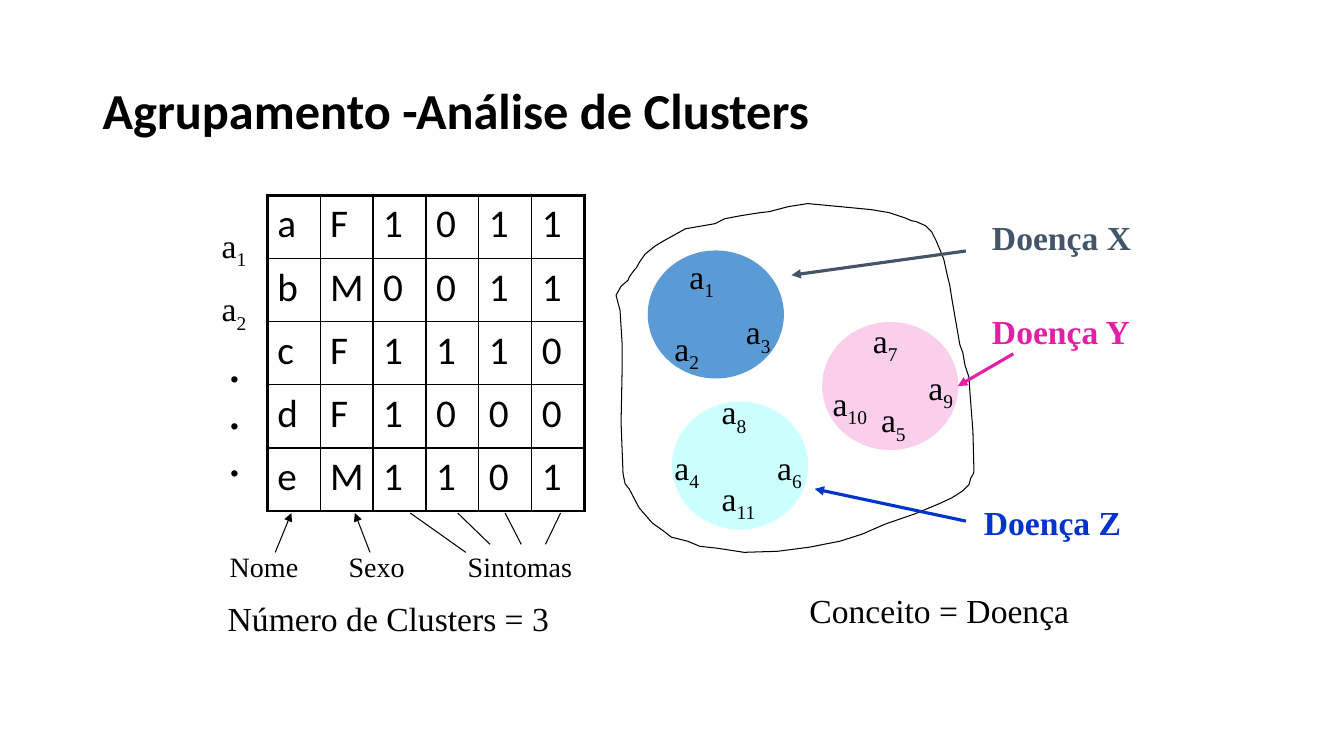
import pptx
import pptx.util
import pptx.dml.color
import pptx.enum.shapes
import pptx.enum.text
import pptx.oxml.ns
import lxml.etree

Inches = pptx.util.Inches
Pt = pptx.util.Pt
SERIF = "Times New Roman"
SANS = "Calibri"
COLORS = {
    "black": "000000", "slate": "44546A", "magenta": "E31FA6", "royal": "0033CC",
    "blue": "5B9BD5", "pink": "F9CFEC", "cyan": "CCFFFF",
}
ROWS = ["aF1011", "bM0011", "cF1110", "dF1000", "eM1101"]
BORDER = [
    (7.54, 2.11), (7.35, 2.14), (7.19, 2.17), (7.09, 2.22), (6.8, 2.27), (6.6, 2.38),
    (6.5, 2.44), (6.4, 2.52), (6.35, 2.59), (6.31, 2.66), (6.29, 2.68), (6.24, 2.75),
    (6.23, 2.78), (6.16, 2.84), (6.11, 2.93), (6.15, 3.08), (6.17, 3.4), (6.17, 3.7),
    (6.16, 4.19), (6.17, 4.45), (6.18, 4.7), (6.2, 4.8), (6.24, 4.85), (6.34, 5.04),
    (6.47, 5.19), (6.57, 5.26), (6.66, 5.33), (6.82, 5.37), (6.94, 5.42), (7.12, 5.44),
    (7.38, 5.48), (7.71, 5.47), (8.02, 5.43), (8.33, 5.37), (8.55, 5.3), (8.78, 5.2),
    (9.07, 5.1), (9.31, 5), (9.44, 4.94), (9.55, 4.87), (9.61, 4.81), (9.63, 4.74),
    (9.65, 4.71), (9.66, 4.68), (9.65, 4.28), (9.62, 3.89), (9.61, 3.74), (9.57, 3.62),
    (9.55, 3.5), (9.52, 3.42), (9.44, 2.96), (9.42, 2.83), (9.4, 2.75), (9.36, 2.57),
    (9.29, 2.4), (9.24, 2.3), (9.18, 2.24), (9.09, 2.2), (9.04, 2.19), (8.97, 2.16),
    (8.82, 2.11), (8.64, 2.08), (8.33, 2.05), (8.01, 2.02), (7.82, 2.05), (7.63, 2.1),
]
DISKS = [(6.43, 2.49, "blue"), (8.16, 3.2, "pink"), (6.67, 3.99, "cyan")]
ITEMS = [
    ("a_1", 2.1, 2.18), ("a_2", 2.1, 2.81),
    ("a_1", 6.74, 2.49), ("a_2", 6.59, 3.2), ("a_3", 7.3, 3.04),
    ("a_7", 8.56, 3.12), ("a_9", 9.11, 3.59), ("a_10", 8.16, 3.75), ("a_5", 8.64, 3.91),
    ("a_8", 7.06, 3.83), ("a_4", 6.59, 4.38), ("a_6", 7.61, 4.38), ("a_11", 7.06, 4.69),
]
ILLS = [
    ("Doença X", 9.74, 2.1, 1.58, "slate", (9.58, 2.49, 7.85, 2.73)),
    ("Doença Y", 9.74, 3.04, 1.58, "magenta", (10.05, 3.51, 9.5, 3.83)),
    ("Doença Z", 9.66, 4.93, 1.56, "royal", (9.58, 5.17, 8.08, 4.85)),
]
HEADS = [("Nome", 2.18, 0.88), ("Sexo", 3.36, 0.76), ("Sintomas", 4.54, 1.25)]
LINKS = [
    (2.73, 5.48, 2.89, 5.09, True), (3.67, 5.48, 3.52, 5.09, True),
    (4.07, 5.09, 4.62, 5.48, False), (4.54, 5.09, 4.86, 5.4, False),
    (5.17, 5.4, 5.01, 5.09, False), (5.41, 5.4, 5.56, 5.09, False),
]


def rgb(name):
    return pptx.dml.color.RGBColor.from_string(COLORS[name])


def style(run, size, font=SERIF, color="black", bold=False):
    run.font.size = Pt(size)
    run.font.name = font
    run.font.bold = bold
    run.font.color.rgb = rgb(color)


def label(slide, text, x, y, w, h=0.5, size=24, wrap=False, middle=False,
          space=None, **form):
    """Add a text box; an underscore starts a subscript."""
    frame = slide.shapes.add_textbox(Inches(x), Inches(y), Inches(w), Inches(h)).text_frame
    frame.word_wrap = wrap
    if not wrap:
        frame.auto_size = pptx.enum.text.MSO_AUTO_SIZE.SHAPE_TO_FIT_TEXT
    if middle:
        frame.vertical_anchor = pptx.enum.text.MSO_ANCHOR.MIDDLE
    for i, line in enumerate(text.split("\n")):
        para = frame.add_paragraph() if i else frame.paragraphs[0]
        para.line_spacing = space
        for j, part in enumerate(line.split("_")):
            run = para.add_run()
            run.text = part
            style(run, size, **form)
            if j:
                run.font._element.set("baseline", "-25000")


def link(slide, x1, y1, x2, y2, head=True, color="black", width=0.75):
    line = slide.shapes.add_connector(
        pptx.enum.shapes.MSO_CONNECTOR.STRAIGHT,
        Inches(x1), Inches(y1), Inches(x2), Inches(y2))
    line.line.color.rgb = rgb(color)
    line.line.width = Pt(width)
    if head:
        tail = lxml.etree.SubElement(line.line._get_or_add_ln(), pptx.oxml.ns.qn("a:tailEnd"))
        tail.set("type", "triangle")
    lxml.etree.SubElement(line._element.spPr, pptx.oxml.ns.qn("a:effectLst"))


def disk(slide, x, y, color):
    oval = slide.shapes.add_shape(
        pptx.enum.shapes.MSO_SHAPE.OVAL, Inches(x), Inches(y), Inches(1.34), Inches(1.26))
    oval.shadow.inherit = False
    oval.fill.solid()
    oval.fill.fore_color.rgb = rgb(color)
    oval.line.color.rgb = rgb(color)
    oval.line.width = Pt(0.75)


def outline(slide, points):
    spots = [(Inches(x), Inches(y)) for x, y in points]
    pen = slide.shapes.build_freeform(*spots[0])
    pen.add_line_segments(spots[1:], close=True)
    shape = pen.convert_to_shape()
    shape.shadow.inherit = False
    shape.fill.background()
    shape.line.color.rgb = rgb("black")
    shape.line.width = Pt(0.75)


def edge(cell, sides):
    """Draw the cell borders, given as side letter and width in points."""
    props = cell._tc.get_or_add_tcPr()
    for i, (side, width) in enumerate(sides):
        line = lxml.etree.Element(pptx.oxml.ns.qn("a:ln" + side), w=str(int(Pt(width))))
        fill = lxml.etree.SubElement(line, pptx.oxml.ns.qn("a:solidFill"))
        lxml.etree.SubElement(fill, pptx.oxml.ns.qn("a:srgbClr"), val=COLORS["black"])
        props.insert(i, line)


def grid(slide, rows, x, y, w, h):
    last, end = len(rows) - 1, len(rows[0]) - 1
    table = slide.shapes.add_table(
        last + 1, end + 1, Inches(x), Inches(y), Inches(w), Inches(h)).table
    table.first_row = table.horz_banding = False
    for r, row in enumerate(rows):
        for c, text in enumerate(row):
            cell = table.cell(r, c)
            cell.fill.background()
            run = cell.text_frame.paragraphs[0].add_run()
            run.text = text
            style(run, 28, font=SANS)
            outer = [("L", c == 0), ("R", c == end), ("T", r == 0), ("B", r == last)]
            edge(cell, [(side, 2.25 if thick else 1) for side, thick in outer])


def main():
    deck = pptx.Presentation()
    deck.slide_width, deck.slide_height = Inches(13.33), Inches(7.5)
    slide = deck.slides.add_slide(deck.slide_layouts[6])
    label(slide, "Agrupamento -Análise de Clusters", 0.92, 0.4, 11.5, 1.45, size=36,
          wrap=True, middle=True, space=0.9, font=SANS, bold=True)
    grid(slide, ROWS, 2.65, 1.94, 3.15, 3.13)
    outline(slide, BORDER)
    for spot in DISKS:
        disk(slide, *spot)
    for text, x, y in ITEMS:
        label(slide, text, x, y, 0.57 if len(text) > 3 else 0.46)
    label(slide, ".\n.\n.", 2.18, 3.36, 0.3, 1.5, size=28, bold=True)
    for text, x, y, w, color, ends in ILLS:
        link(slide, *ends, color=color, width=2.25)
        label(slide, text, x, y, w, color=color, bold=True)
    for text, x, w in HEADS:
        label(slide, text, x, 5.4, w, 0.43, size=20)
    for ends in LINKS:
        link(slide, *ends)
    label(slide, "Número de Clusters = 3", 2.16, 5.88, 3.39)
    label(slide, "Conceito = Doença", 7.93, 5.8, 2.79)
    deck.save("out.pptx")


if __name__ == "__main__":
    main()
